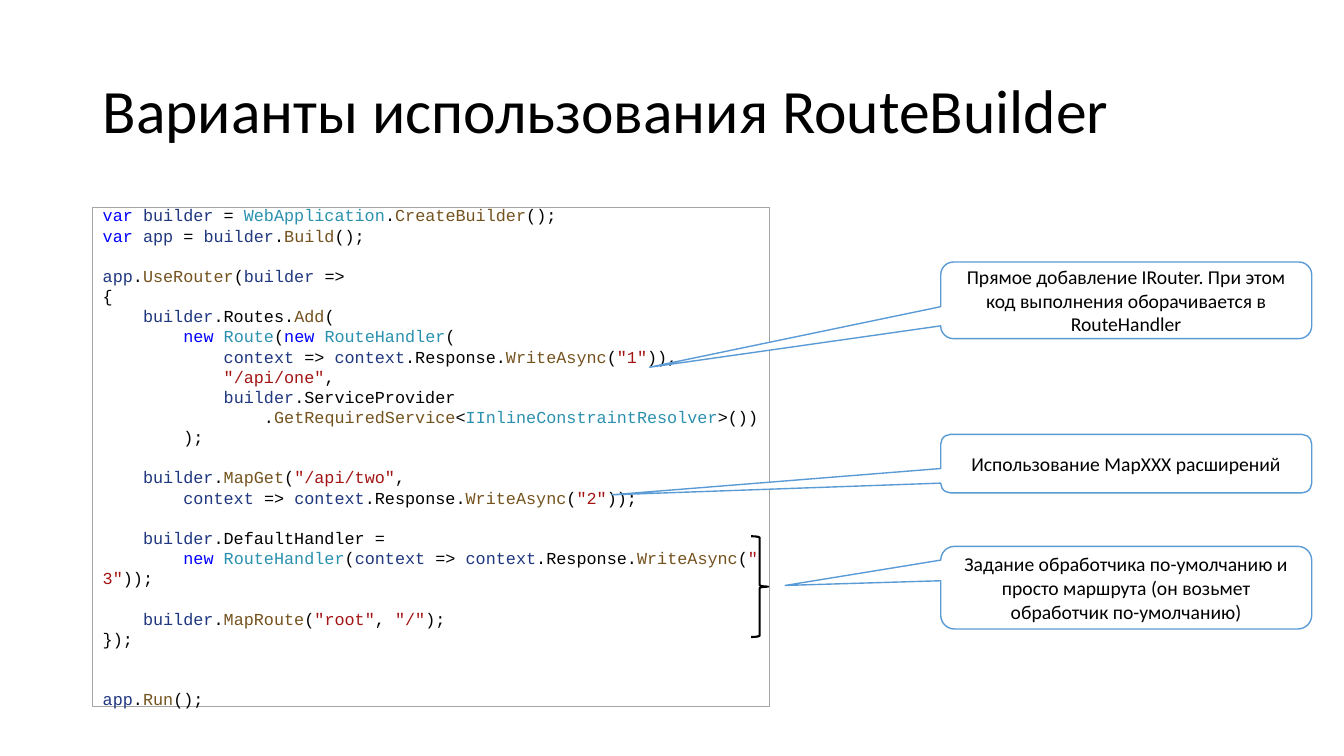
import copy
import dataclasses
import itertools
import typing

import pptx
import pptx.dml.color
import pptx.enum.shapes
import pptx.enum.text
import pptx.oxml.ns
import pptx.util

PX = 9144  # EMU per px, 100 px to the inch
SHAPES = pptx.enum.shapes.MSO_SHAPE
ALIGN = pptx.enum.text.PP_ALIGN
FIT = pptx.enum.text.MSO_AUTO_SIZE
BLACK, WHITE, GREY, BLUE = "000000", "FFFFFF", "A5A5A5", "5B9BD5"
NBSP = chr(160)

Span = tuple[str, str]  # text, colour


@dataclasses.dataclass
class Note:
    text: str
    top: int
    high: int
    tip: tuple[float, float]


NOTES = [
    Note("Прямое добавление IRouter. При этом код выполнения оборачивается в RouteHandler",
         260, 76, (-1.285, 0.874)),
    Note("Использование MapXXX расширений", 431, 58, (-1.387, 0.533)),
    Note("Задание обработчика по-умолчанию и просто маршрута (он возьмет обработчик по-умолчанию)",
         542, 82, (-0.919, -0.027)),
]

CODE = """var builder = WebApplication.CreateBuilder();
var app = builder.Build();

app.UseRouter(builder =>
{
    builder.Routes.Add(
        new Route(new RouteHandler(
            context => context.Response.WriteAsync("1")),
            "/api/one",
            builder.ServiceProvider
                .GetRequiredService<IInlineConstraintResolver>())
        );

    builder.MapGet("/api/two",
        context => context.Response.WriteAsync("2"));

    builder.DefaultHandler =
        new RouteHandler(context => context.Response.WriteAsync("3"));

    builder.MapRoute("root", "/");
});


app.Run();"""

# Code colours by kind of word
STRING = "A31515"
WORDS = {
    "0000FF": "var new",
    "1F377F": "builder app context",
    "2B91AF": "WebApplication Route RouteHandler IInlineConstraintResolver",
    "74531F": "CreateBuilder Build UseRouter Add WriteAsync GetRequiredService MapGet MapRoute Run",
}
HUES = {word: hue for hue, words in WORDS.items() for word in words.split()}


def paint(line: str) -> list[Span]:
    """Split a line of code into coloured spans."""
    spans: list[Span] = []
    for i, part in enumerate(line.split('"')):
        if i % 2:
            spans.append((f'"{part}"', STRING))
            continue
        for _, chars in itertools.groupby(part, str.isalnum):
            word = "".join(chars)
            spans.append((word.replace(" ", NBSP), HUES.get(word, BLACK)))
    return spans


def plain(line: str) -> list[Span]:
    return [(line, BLACK)]


def color(code: str) -> pptx.dml.color.RGBColor:
    return pptx.dml.color.RGBColor.from_string(code)


def write(shape: typing.Any, text: str, *, size: int, font: str = "Calibri",
          align: typing.Any = ALIGN.LEFT, wrap: bool = True, space: float = 1.0,
          split: typing.Callable[[str], list[Span]] = plain) -> None:
    frame = shape.text_frame
    frame.word_wrap = wrap
    frame.vertical_anchor = pptx.enum.text.MSO_ANCHOR.MIDDLE
    para = frame.paragraphs[0]
    para.alignment, para.line_spacing = align, space
    for i, line in enumerate(text.split("\n")):
        if i:
            para.add_line_break()
        for word, hue in split(line):
            if not word:
                continue
            run = para.add_run()
            run.text = word
            run.font.size, run.font.name = pptx.util.Pt(size), font
            run.font.color.rgb = color(hue)
    # Line breaks take the format of the first run, so empty lines keep their height
    first = para.runs[0].font._element
    for stop in para._p.findall(pptx.oxml.ns.qn("a:br")):
        stop.append(copy.deepcopy(first))


def draw(slide: typing.Any, kind: typing.Any, left: int, top: int, wide: int, high: int, *,
         fill: str | None = None, line: str, width: float = 1) -> typing.Any:
    shape = slide.shapes.add_shape(kind, left * PX, top * PX, wide * PX, high * PX)
    shape.shadow.inherit = False
    if fill:
        shape.fill.solid()
        shape.fill.fore_color.rgb = color(fill)
    else:
        shape.fill.background()
    shape.line.color.rgb = color(line)
    shape.line.width = pptx.util.Pt(width)
    return shape


def main() -> None:
    deck = pptx.Presentation()
    deck.slide_width, deck.slide_height = 1333 * PX, 750 * PX
    slide = deck.slides.add_slide(deck.slide_layouts[6])

    # Title
    title = slide.shapes.add_textbox(92 * PX, 40 * PX, 1150 * PX, 145 * PX)
    write(title, "Варианты использования RouteBuilder", size=44, space=0.9)

    # Code listing
    box = draw(slide, SHAPES.RECTANGLE, 92, 206, 671, 495, fill=WHITE, line=GREY)
    write(box, CODE, size=12, font="Courier New", wrap=False, split=paint)
    box.text_frame.margin_top = box.text_frame.margin_bottom = 0
    box.text_frame.auto_size = FIT.SHAPE_TO_FIT_TEXT

    # Callouts
    for note in NOTES:
        bubble = draw(slide, SHAPES.ROUNDED_RECTANGULAR_CALLOUT, 933, note.top, 368, note.high,
                      fill=WHITE, line=BLUE)
        bubble.adjustments[0], bubble.adjustments[1] = note.tip
        write(bubble, note.text, size=14, align=ALIGN.CENTER)

    # Brace by the last handlers
    draw(slide, SHAPES.RIGHT_BRACE, 745, 532, 17, 100, line=BLACK, width=1.5)

    deck.save("out.pptx")


if __name__ == "__main__":
    main()
